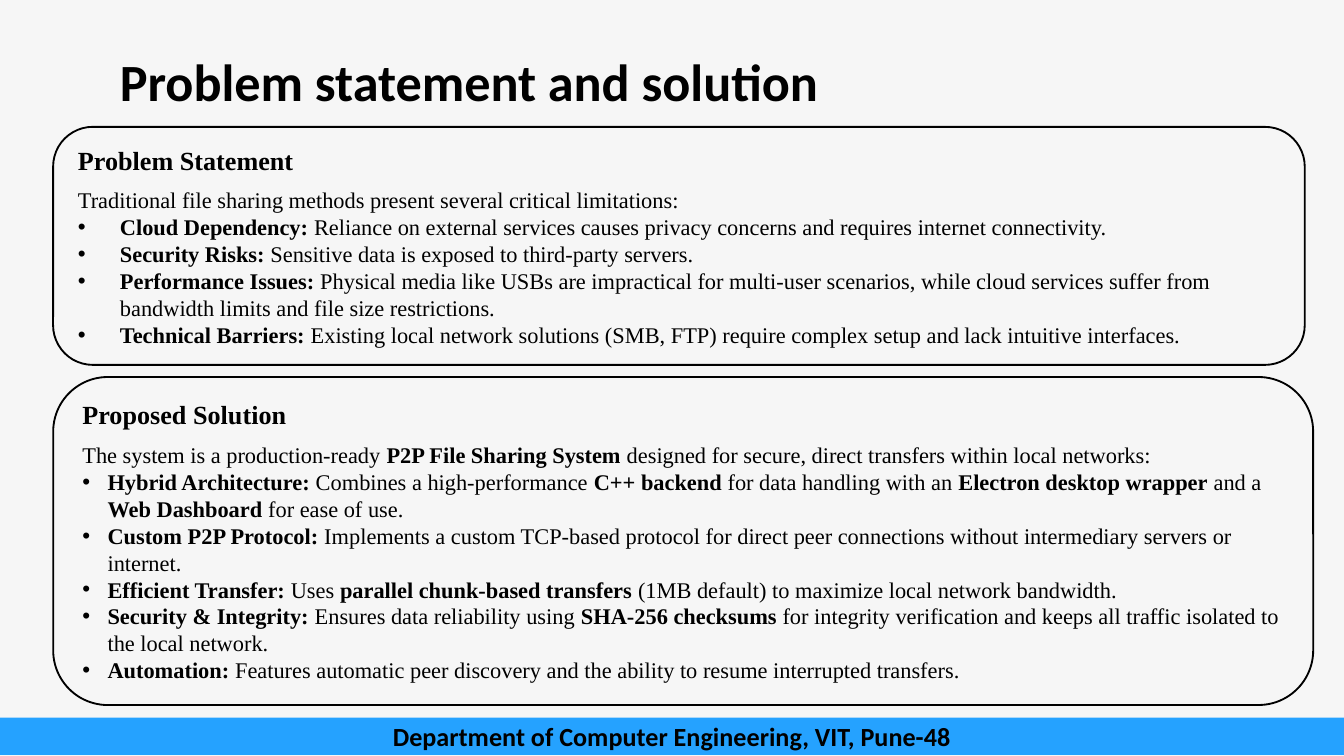
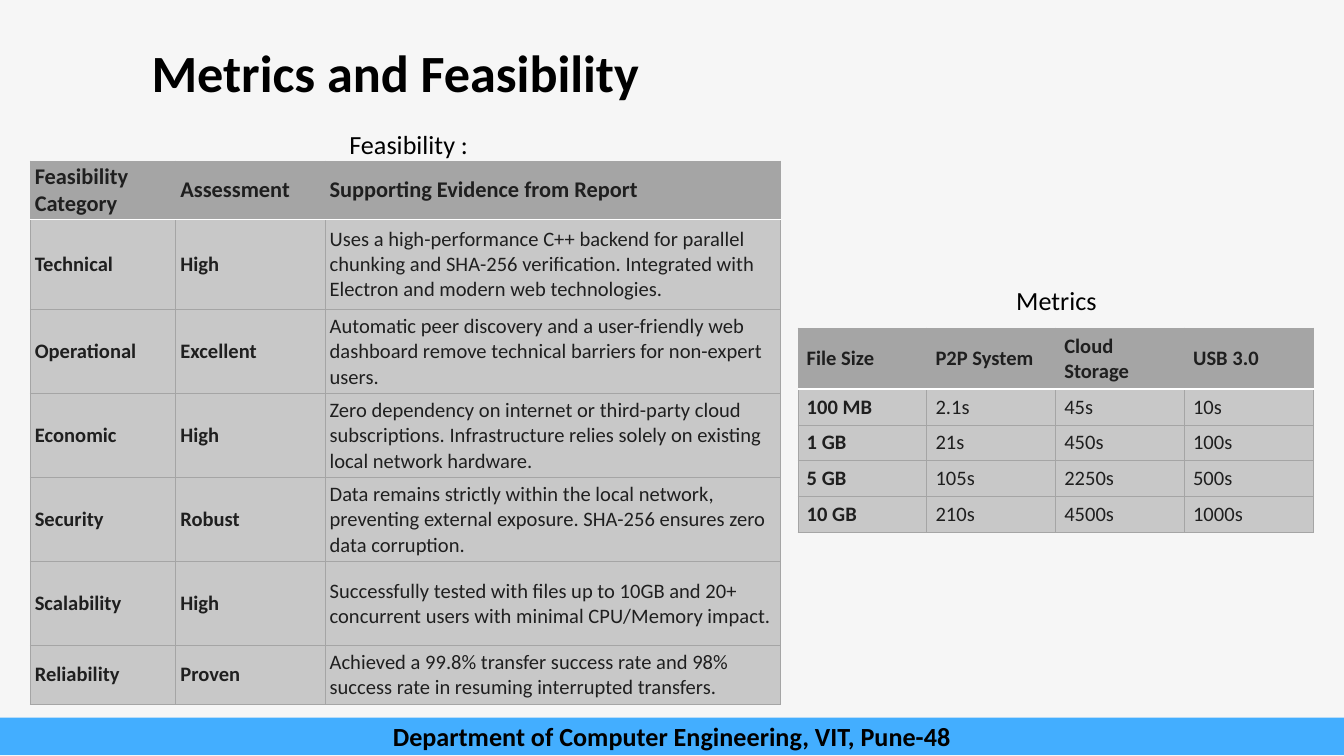
"""Build two project slides: problem and solution, metrics and feasibility."""
from lxml.etree import SubElement
from pptx import Presentation
from pptx.dml.color import RGBColor
from pptx.enum.shapes import MSO_SHAPE
from pptx.enum.text import MSO_ANCHOR, PP_ALIGN
from pptx.oxml import parse_xml
from pptx.oxml.ns import nsdecls, qn
from pptx.util import Pt

INK, PAPER, WHITE = "000000", "F6F6F6", "FFFFFF"
GREY, PALE, DARK = "A5A5A5", "C8C8C8", "1F1F1F"
SANS, SERIF = "Calibri", "Times New Roman"
WIDE, HIGH = 720, 405


def color(code):
    return RGBColor.from_string(code)


class Deck:
    def __init__(self):
        self.prs = Presentation()
        self.prs.slide_width, self.prs.slide_height = Pt(WIDE), Pt(HIGH)
        self.slide = None

    def style(self, para, size, bold=None, face=SANS, ink=INK, align=PP_ALIGN.LEFT):
        para.alignment = align
        font = para.font
        font.size, font.name, font.bold = Pt(size), face, bold
        font.color.rgb = color(ink)

    def start(self, title, left, top, width, band):
        self.slide = self.prs.slides.add_slide(self.prs.slide_layouts[5])
        fill = self.slide.background.fill
        fill.solid()
        fill.fore_color.rgb = color(PAPER)
        head = self.slide.shapes.title
        head.left, head.top, head.width, head.height = map(Pt, (left, top, width, 41))
        frame = head.text_frame
        frame.text = title
        frame.word_wrap = True
        frame.vertical_anchor = MSO_ANCHOR.TOP
        self.style(frame.paragraphs[0], 28, True)
        foot = self.shape(MSO_SHAPE.RECTANGLE, (0, 384.5, WIDE, 20), band)
        foot.text_frame.text = "Department of Computer Engineering, VIT, Pune-48"
        self.style(foot.text_frame.paragraphs[0], 14, True, align=PP_ALIGN.CENTER)

    def shape(self, kind, box, fill, line=None):
        shape = self.slide.shapes.add_shape(kind, *map(Pt, box))
        shape.shadow.inherit = False
        shape.fill.solid()
        shape.fill.fore_color.rgb = color(fill)
        if line:
            shape.line.color.rgb = color(line)
            shape.line.width = Pt(1)
        else:
            shape.line.fill.background()
        return shape

    def label(self, text, left, top):
        box = self.slide.shapes.add_textbox(Pt(left), Pt(top), Pt(180), Pt(24.5))
        frame = box.text_frame
        frame.word_wrap = True
        frame.text = text
        self.style(frame.paragraphs[0], 14, align=PP_ALIGN.CENTER)

    def panel(self, box, indent, head, intro, points):
        frame = self.shape(MSO_SHAPE.ROUNDED_RECTANGLE, box, PAPER, INK).text_frame
        frame.word_wrap = True
        para = frame.paragraphs[0]
        para.text = head
        para.space_after = Pt(6)
        self.style(para, 14, True, SERIF)
        for spot, text in enumerate([intro, *points]):
            para = frame.add_paragraph()
            if spot:
                props = para._p.get_or_add_pPr()
                props.set("marL", str(Pt(indent)))
                props.set("indent", str(-Pt(indent)))
                SubElement(props, qn("a:buFont"), typeface="Arial")
                SubElement(props, qn("a:buChar"), char="•")
            self.style(para, 12, face=SERIF)
            for turn, part in enumerate(text.split("**")):
                if part:
                    run = para.add_run()
                    run.text = part
                    run.font.bold = turn % 2 == 1

    def edge(self, cell, side, code, width):
        return parse_xml(
            f'<a:ln{side} {nsdecls("a")} w="{Pt(width)}"><a:solidFill>'
            f'<a:srgbClr val="{code}"/></a:solidFill></a:ln{side}>')

    def table(self, left, top, cols, rows, data, inset, size, bold):
        box = map(Pt, (left, top, sum(cols), sum(rows)))
        table = self.slide.shapes.add_table(len(rows), len(cols), *box).table
        table.first_row = table.horz_banding = False
        for col, width in zip(table.columns, cols):
            col.width = Pt(width)
        for r, (height, line) in enumerate(zip(rows, data)):
            table.rows[r].height = Pt(height)
            for c, text in enumerate(line):
                cell = table.cell(r, c)
                cell.text = text
                cell.vertical_anchor = MSO_ANCHOR.MIDDLE
                cell.margin_left = cell.margin_right = Pt(inset[0])
                cell.margin_top = cell.margin_bottom = Pt(inset[1])
                cell.fill.solid()
                cell.fill.fore_color.rgb = color(PALE if r else GREY)
                self.style(cell.text_frame.paragraphs[0], 11 if r else size,
                           r == 0 or c < bold, ink=DARK)
                white = {0: "B", 1: "T"}.get(r)
                for spot, side in enumerate("LRTB"):
                    pen = (WHITE, 1) if side == white else (GREY, 0.5)
                    cell._tc.get_or_add_tcPr().insert(spot, self.edge(cell, side, *pen))


def main():
    deck = Deck()
    deck.start("Problem statement and solution", 57, 23, 400, "25A2FF")
    deck.panel(
        (28.5, 68, 670.5, 127.5), 22.5, "Problem Statement",
        "Traditional file sharing methods present several critical limitations:",
        ["**Cloud Dependency:** Reliance on external services causes privacy concerns "
         "and requires internet connectivity.",
         "**Security Risks:** Sensitive data is exposed to third-party servers.",
         "**Performance Issues:** Physical media like USBs are impractical for multi-user "
         "scenarios, while cloud services suffer from bandwidth limits and file size "
         "restrictions.",
         "**Technical Barriers:** Existing local network solutions (SMB, FTP) require "
         "complex setup and lack intuitive interfaces."])
    deck.panel(
        (28.5, 202, 675, 175.75), 13.5, "Proposed Solution",
        "The system is a production-ready **P2P File Sharing System** designed for "
        "secure, direct transfers within local networks:",
        ["**Hybrid Architecture:** Combines a high-performance **C++ backend** for data "
         "handling with an **Electron desktop wrapper** and a **Web Dashboard** for ease "
         "of use.",
         "**Custom P2P Protocol:** Implements a custom TCP-based protocol for direct peer "
         "connections without intermediary servers or internet.",
         "**Efficient Transfer:** Uses **parallel chunk-based transfers** (1MB default) "
         "to maximize local network bandwidth.",
         "**Security & Integrity:** Ensures data reliability using **SHA-256 checksums** "
         "for integrity verification and keeps all traffic isolated to the local network.",
         "**Automation:** Features automatic peer discovery and the ability to resume "
         "interrupted transfers."])

    deck.start("Metrics and Feasibility", 74, 18, 440, "43AEFF")
    deck.table(427.5, 175.75, [69] * 4, [32.5] + [19.2] * 4, [
        ("File Size", "P2P System", "Cloud Storage", "USB 3.0"),
        ("100 MB", "2.1s", "45s", "10s"),
        ("1 GB", "21s", "450s", "100s"),
        ("5 GB", "105s", "2250s", "500s"),
        ("10 GB", "210s", "4500s", "1000s"),
    ], (4.7, 2.8), 11, 1)
    deck.label("Metrics", 476, 149)
    deck.table(16.25, 86.25, [78, 80, 244], [31.25, 48.5] + [45] * 4 + [31.25], [
        ("Feasibility Category", "Assessment", "Supporting Evidence from Report"),
        ("Technical", "High",
         "Uses a high-performance C++ backend for parallel chunking and SHA-256 "
         "verification. Integrated with Electron and modern web technologies."),
        ("Operational", "Excellent",
         "Automatic peer discovery and a user-friendly web dashboard remove technical "
         "barriers for non-expert users."),
        ("Economic", "High",
         "Zero dependency on internet or third-party cloud subscriptions. "
         "Infrastructure relies solely on existing local network hardware."),
        ("Security", "Robust",
         "Data remains strictly within the local network, preventing external "
         "exposure. SHA-256 ensures zero data corruption."),
        ("Scalability", "High",
         "Successfully tested with files up to 10GB and 20+ concurrent users with "
         "minimal CPU/Memory impact."),
        ("Reliability", "Proven",
         "Achieved a 99.8% transfer success rate and 98% success rate in resuming "
         "interrupted transfers."),
    ], (2.4, 1.2), 12, 2)
    deck.label("Feasibility :", 129, 65)
    deck.prs.save("out.pptx")


if __name__ == "__main__":
    main()
